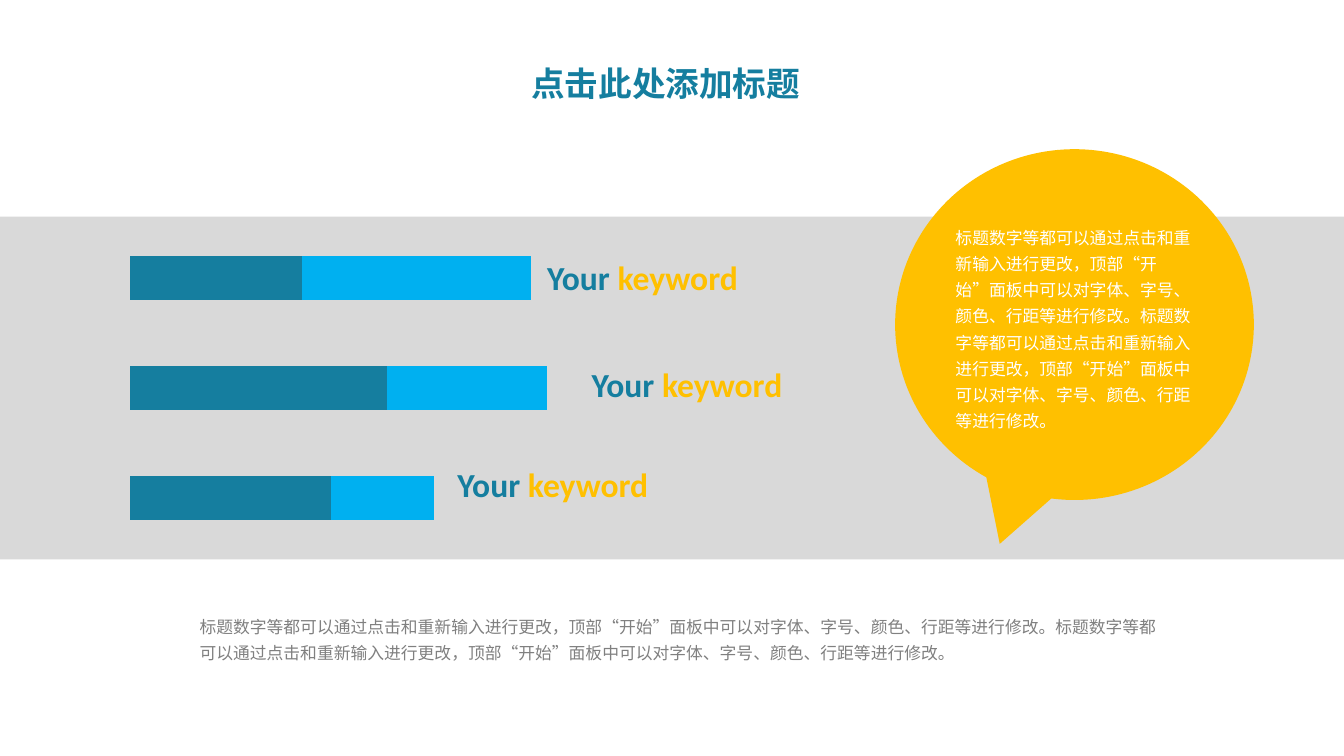
from pptx import Presentation
from pptx.chart.data import CategoryChartData
from pptx.dml.color import RGBColor
from pptx.enum.chart import XL_CHART_TYPE
from pptx.enum.shapes import MSO_SHAPE
from pptx.enum.text import PP_ALIGN
from pptx.oxml.ns import qn
from pptx.util import Cm, Pt
from lxml.etree import SubElement

TEAL = RGBColor(0x15, 0x7E, 0x9F)
BLUE = RGBColor(0x00, 0xB0, 0xF0)
AMBER = RGBColor(0xFF, 0xC0, 0x00)
BAND = RGBColor(0xD9, 0xD9, 0xD9)
GREY = RGBColor(0x80, 0x80, 0x80)
BLACK = RGBColor(0x00, 0x00, 0x00)
WHITE = RGBColor(0xFF, 0xFF, 0xFF)
LATIN = "Calibri"
CJK = "Noto Sans CJK SC"
SENTENCE = "标题数字等都可以通过点击和重新输入进行更改，顶部“开始”面板中可以对字体、字号、颜色、行距等进行修改。"
KEYWORD_SPOTS = [(13.54, 6.35), (14.66, 9.04), (11.28, 11.56)]


def add_block(s, kind, x, y, w, h, fill):
    """Add a borderless filled shape."""
    sp = s.shapes.add_shape(kind, Cm(x), Cm(y), Cm(w), Cm(h))
    sp.shadow.inherit = False
    sp.fill.solid()
    sp.fill.fore_color.rgb = fill
    sp.line.fill.background()
    return sp


def add_text(s, x, y, w, h, runs, size, font, bold=False, spacing=1.0):
    """Add a one-paragraph text box from (text, colour) runs."""
    tf = s.shapes.add_textbox(Cm(x), Cm(y), Cm(w), Cm(h)).text_frame
    tf.word_wrap = True
    p = tf.paragraphs[0]
    p.line_spacing = spacing
    for text, color in runs:
        r = p.add_run()
        r.text = text
        r.font.size = Pt(size)
        r.font.bold = bold
        r.font.name = font
        r.font.color.rgb = color
        SubElement(r.font._element, qn("a:ea"), typeface=font)
    return tf


def add_title(s, text):
    """Add the centred slide title."""
    tf = add_text(s, 13.13, 1.7, 7.29, 1.17, [(text, TEAL)], 24, CJK, True, 0.9)
    tf.word_wrap = False
    tf.margin_top = tf.margin_bottom = 0
    tf.paragraphs[0].alignment = PP_ALIGN.CENTER


def add_bars(s):
    """Add the stacked bar chart without axes."""
    data = CategoryChartData()
    data.categories = ["1", "2", "3"]
    data.add_series("Series 1", (78, 100, 67))
    data.add_series("Series 2", (40, 62, 89))
    chart = s.shapes.add_chart(XL_CHART_TYPE.BAR_STACKED, Cm(2.92), Cm(5.46),
                               Cm(18.03), Cm(8.64), data).chart
    chart.has_legend = False
    chart.has_title = False
    chart.font.name = LATIN
    chart.font.size = Pt(10)
    chart.font.color.rgb = BLACK
    chart.value_axis.minimum_scale = 0
    chart.value_axis.maximum_scale = 267
    chart.value_axis.major_unit = 22
    chart.value_axis.has_major_gridlines = False
    chart.value_axis.visible = False
    chart.category_axis.visible = False
    plot = chart.plots[0]
    plot.gap_width = 150
    plot.overlap = 100
    plot.vary_by_categories = False
    for series, color in zip(plot.series, (TEAL, BLUE)):
        series.format.fill.solid()
        series.format.fill.fore_color.rgb = color


def main():
    """Build and save the slide."""
    prs = Presentation()
    prs.slide_width, prs.slide_height = Cm(33.87), Cm(19.05)
    s = prs.slides.add_slide(prs.slide_layouts[6])
    add_block(s, MSO_SHAPE.RECTANGLE, 0, 5.46, 33.87, 8.64, BAND)
    add_title(s, "点击此处添加标题")
    add_bars(s)
    for x, y in KEYWORD_SPOTS:
        add_text(s, x, y, 6.76, 1.27, [("Your ", TEAL), ("keyword", AMBER)],
                 24, LATIN, True)
    add_text(s, 4.78, 15.27, 24.69, 1.6, [(SENTENCE * 2, GREY)], 12, CJK, spacing=1.3)
    add_block(s, MSO_SHAPE.OVAL_CALLOUT, 22.56, 3.76, 9.04, 8.84, AMBER)
    add_text(s, 23.83, 5.46, 6.53, 5.59, [(SENTENCE * 2, WHITE)], 12, CJK, spacing=1.3)
    prs.save("out.pptx")


if __name__ == "__main__":
    main()
